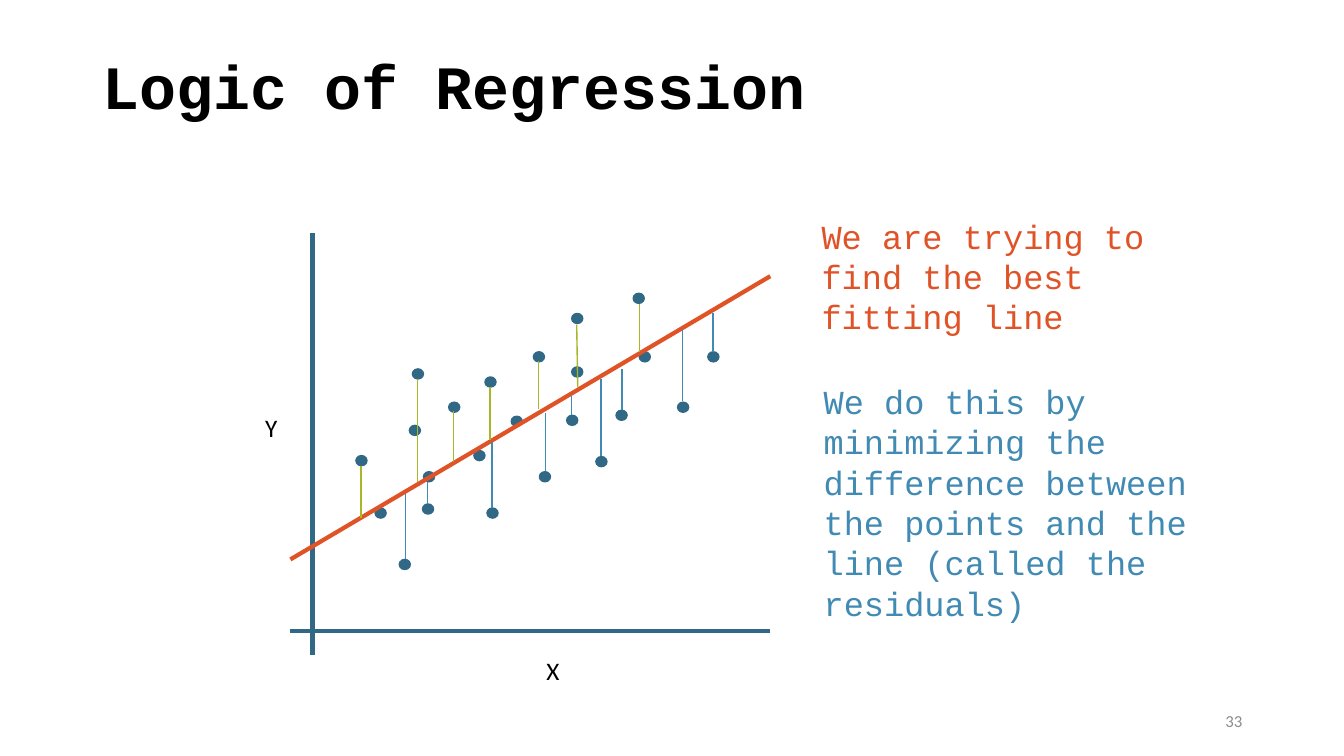
"""Build the slide that explains regression as the best fitting line."""
from typing import NamedTuple

from lxml import etree
from pptx import Presentation
from pptx.dml.color import RGBColor
from pptx.enum.shapes import MSO_CONNECTOR as CONN, MSO_SHAPE as SHAPE
from pptx.enum.text import MSO_ANCHOR as ANCHOR, MSO_AUTO_SIZE as FIT, PP_ALIGN as ALIGN
from pptx.oxml.ns import qn
from pptx.util import Inches, Pt

NAVY, BLUE, GREEN, ORANGE = "316886", "418AB3", "A6B727", "DF5327"
BLACK, GREY = "000000", "8C8C8C"
MONO, SANS = "Courier New", "Calibri"
DOT_W, DOT_H = 0.11, 0.1


class Label(NamedTuple):
    text: str
    x: float
    y: float
    w: float
    h: float
    size: int
    font: str
    color: str
    bold: bool = False
    wrap: bool = True
    grow: bool = True
    align: ALIGN = ALIGN.LEFT
    spacing: float = 1.0


class Line(NamedTuple):
    x1: float
    y1: float
    x2: float
    y2: float
    color: str
    width: float = 1


class Dot(NamedTuple):
    x: float
    y: float


TITLE = Label("Logic of Regression", 0.92, 0.43, 11.5, 0.92, 44, MONO, BLACK,
              bold=True, grow=False, spacing=0.9)
PAGE_NUMBER = Label("33", 9.42, 6.95, 3, 0.4, 12, SANS, GREY, grow=False, align=ALIGN.RIGHT)
AXIS_LABELS = [
    Label("Y", 2.53, 4.04, 0.32, 0.4, 18, SANS, BLACK, wrap=False),
    Label("X", 5.32, 6.45, 0.33, 0.4, 18, SANS, BLACK, wrap=False),
]
NOTES = [
    Label("We are trying to find the best fitting line",
          8.05, 2.09, 4.01, 1.31, 24, MONO, ORANGE),
    Label("We do this by minimizing the difference between the points and the line "
          "(called the residuals)", 8.07, 3.73, 4.01, 2.52, 24, MONO, BLUE),
]
AXES = [Line(3.1, 2.31, 3.1, 6.5, NAVY, 3), Line(7.64, 6.26, 2.88, 6.26, NAVY, 3)]
FIT_LINE = Line(2.88, 5.55, 7.64, 2.74, ORANGE, 3)
DOTS = [
    Dot(3.72, 5.04), Dot(4.09, 3.66), Dot(4.19, 5), Dot(4.06, 4.22), Dot(4.45, 3.99),
    Dot(4.2, 4.68), Dot(4.7, 4.47), Dot(3.53, 4.52), Dot(5.07, 4.13), Dot(4.81, 3.74),
    Dot(5.35, 4.68), Dot(5.29, 3.49), Dot(5.62, 4.12), Dot(5.67, 3.64), Dot(4.83, 5.04),
    Dot(3.96, 5.55), Dot(5.67, 3.11), Dot(6.11, 4.07), Dot(5.91, 4.53), Dot(6.34, 3.49),
    Dot(6.28, 2.91), Dot(6.72, 3.99), Dot(7.02, 3.49),
]
RESIDUALS = [
    Line(4.02, 4.9, 4.02, 5.55, BLUE), Line(4.14, 3.76, 4.14, 4.78, GREEN),
    Line(4.24, 4.78, 4.24, 5, BLUE), Line(3.58, 4.62, 3.58, 5.14, GREEN),
    Line(4.88, 4.39, 4.88, 5.04, BLUE), Line(4.5, 4.08, 4.5, 4.58, GREEN),
    Line(4.86, 3.84, 4.86, 4.37, GREEN), Line(5.34, 3.58, 5.34, 4.06, GREEN),
    Line(5.41, 4.1, 5.41, 4.67, BLUE), Line(5.96, 3.76, 5.96, 4.52, BLUE),
    Line(5.72, 3.22, 5.73, 3.84, GREEN), Line(6.34, 3.02, 6.34, 3.49, GREEN),
    Line(6.17, 3.66, 6.17, 4.07, BLUE), Line(6.77, 3.26, 6.77, 3.98, BLUE),
    Line(7.07, 3.11, 7.07, 3.49, BLUE), Line(5.67, 3.92, 5.67, 4.12, BLUE),
]


def rgb(color: str) -> RGBColor:
    return RGBColor.from_string(color)


def add_label(s, label: Label) -> None:
    box = s.shapes.add_textbox(Inches(label.x), Inches(label.y),
                               Inches(label.w), Inches(label.h))
    tf = box.text_frame
    tf.word_wrap = label.wrap
    tf.auto_size = FIT.SHAPE_TO_FIT_TEXT if label.grow else FIT.NONE
    tf.vertical_anchor = ANCHOR.TOP if label.grow else ANCHOR.MIDDLE
    p = tf.paragraphs[0]
    p.alignment = label.align
    p.line_spacing = label.spacing
    r = p.add_run()
    r.text = label.text
    r.font.name = label.font
    r.font.size = Pt(label.size)
    r.font.bold = label.bold
    r.font.color.rgb = rgb(label.color)


def add_line(s, line: Line) -> None:
    c = s.shapes.add_connector(CONN.STRAIGHT, Inches(line.x1), Inches(line.y1),
                               Inches(line.x2), Inches(line.y2))
    c.line.color.rgb = rgb(line.color)
    c.line.width = Pt(line.width)
    etree.SubElement(c._element.spPr, qn("a:effectLst"))


def add_dot(s, dot: Dot) -> None:
    sp = s.shapes.add_shape(SHAPE.OVAL, Inches(dot.x), Inches(dot.y),
                            Inches(DOT_W), Inches(DOT_H))
    sp.shadow.inherit = False
    sp.fill.solid()
    sp.fill.fore_color.rgb = rgb(NAVY)
    sp.line.color.rgb = rgb(NAVY)
    sp.line.width = Pt(1)


def main() -> None:
    prs = Presentation()
    prs.slide_width, prs.slide_height = Inches(13.33), Inches(7.5)
    s = prs.slides.add_slide(prs.slide_layouts[6])
    for label in (TITLE, PAGE_NUMBER):
        add_label(s, label)
    for axis in AXES:
        add_line(s, axis)
    for dot in DOTS:
        add_dot(s, dot)
    for label in AXIS_LABELS:
        add_label(s, label)
    add_line(s, FIT_LINE)
    for note in NOTES:
        add_label(s, note)
    for residual in RESIDUALS:
        add_line(s, residual)
    prs.save("out.pptx")


if __name__ == "__main__":
    main()
